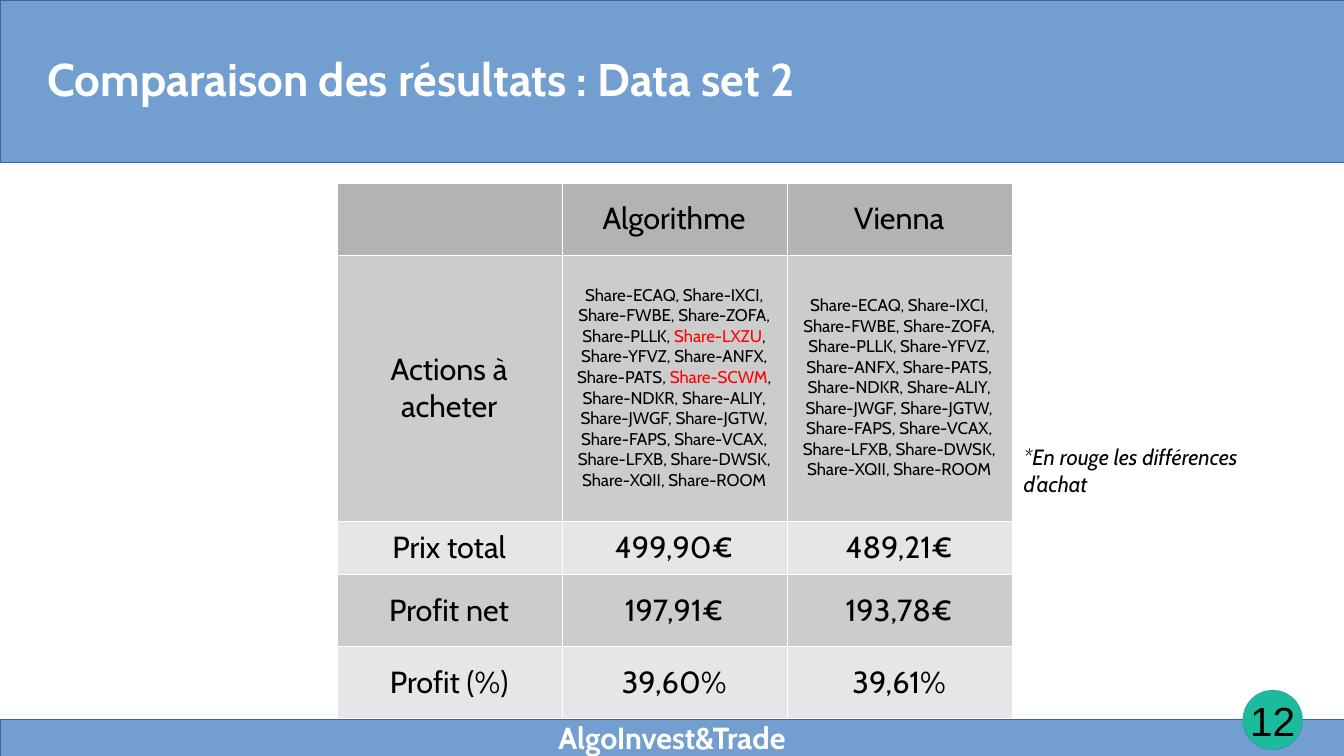
from itertools import groupby

from lxml.etree import SubElement
from pptx import Presentation
from pptx.dml.color import RGBColor
from pptx.enum.shapes import MSO_SHAPE
from pptx.enum.text import MSO_ANCHOR, MSO_AUTO_SIZE, PP_ALIGN
from pptx.oxml.ns import qn
from pptx.util import Inches, Pt

TITLE = "Comparaison des résultats : Data set 2"
FOOTER = "AlgoInvest&Trade"
PAGE_NUMBER = "12"
NOTE = "*En rouge les différences d’achat"
SHARES = ("ECAQ IXCI FWBE ZOFA PLLK LXZU YFVZ ANFX PATS SCWM NDKR ALIY "
          "JWGF JGTW FAPS VCAX LFXB DWSK XQII ROOM").split()
ALGORITHM_ONLY = {"LXZU", "SCWM"}
VIENNA_SHARES = [share for share in SHARES if share not in ALGORITHM_ONLY]
RESULTS = [
    ["", "Algorithme", "Vienna"],
    ["Actions à acheter", SHARES, VIENNA_SHARES],
    ["Prix total", "499,90€", "489,21€"],
    ["Profit net", "197,91€", "193,78€"],
    ["Profit (%)", "39,60%", "39,61%"],
]

BLUE = RGBColor(0x72, 0x9F, 0xCF)
DARK_BLUE = RGBColor(0x34, 0x65, 0xA4)
GREEN = RGBColor(0x1A, 0xBC, 0x9C)
WHITE = RGBColor(0xFF, 0xFF, 0xFF)
BLACK = RGBColor(0, 0, 0)
RED = RGBColor(0xFF, 0, 0)
HEADER_GREY = RGBColor(0xB3, 0xB3, 0xB3)
ROW_GREYS = [RGBColor(0xE6, 0xE6, 0xE6), RGBColor(0xCC, 0xCC, 0xCC)]

WIDTH, HEIGHT = 11.02, 6.2
HEADER_HEIGHT, FOOTER_HEIGHT = 1.33, 0.3
FOOTER_TOP = HEIGHT - FOOTER_HEIGHT
COLUMN_WIDTH = 1.845
ROW_HEIGHTS = [0.59, 2.18, 0.44, 0.59, 0.59]
TABLE_LEFT, TABLE_TOP = 2.76, 1.5
TABLE_WIDTH = 3 * COLUMN_WIDTH
BADGE_SIZE = 0.49
BADGE_CENTER = 10.435
TEXT_MARGINS = (0.1, 0.05)


def box(left, top, width, height):
    return [Inches(value) for value in (left, top, width, height)]


def add_run(paragraph, text, size, color=BLACK, name="Cabin", **style):
    run = paragraph.add_run()
    run.text = text
    for key, value in dict(name=name, size=Pt(size), **style).items():
        setattr(run.font, key, value)
    run.font.color.rgb = color


def format_frame(frame, margins, anchor):
    horizontal, vertical = map(Inches, margins)
    settings = dict(margin_left=horizontal, margin_right=horizontal,
                    margin_top=vertical, margin_bottom=vertical,
                    vertical_anchor=anchor, word_wrap=True,
                    auto_size=MSO_AUTO_SIZE.NONE)
    for key, value in settings.items():
        setattr(frame, key, value)


def add_label(slide, area, text, size, margins, anchor, align, **style):
    frame = slide.shapes.add_textbox(*box(*area)).text_frame
    format_frame(frame, margins, anchor)
    frame.paragraphs[0].alignment = align
    add_run(frame.paragraphs[0], text, size, **style)


def add_decor(slide, preset, area, fill):
    decor = slide.shapes.add_shape(preset, *box(*area))
    decor.shadow.inherit = False
    decor.fill.solid()
    decor.fill.fore_color.rgb = fill
    decor.line.color.rgb = DARK_BLUE
    decor.line.width = Pt(0.1)


def add_share_list(paragraph, shares):
    """Write the shares, with those only the algorithm buys in red."""
    groups = groupby(shares, key=lambda share: share in ALGORITHM_ONLY)
    for position, (differs, names) in enumerate(groups):
        if position:
            add_run(paragraph, ", ", 10)
        listing = ", ".join(f"Share-{name}" for name in names)
        add_run(paragraph, listing, 10, RED if differs else BLACK)


def add_borders(cell):
    properties = cell._tc.get_or_add_tcPr()
    for position, side in enumerate(("a:lnL", "a:lnR", "a:lnT", "a:lnB")):
        border = properties.makeelement(qn(side), {"w": str(Pt(0.06))})
        fill = SubElement(border, qn("a:solidFill"))
        SubElement(fill, qn("a:srgbClr"), val=str(WHITE))
        properties.insert(position, border)


def fill_cell(cell, content, grey):
    cell.fill.solid()
    cell.fill.fore_color.rgb = grey
    cell.vertical_anchor = MSO_ANCHOR.MIDDLE
    add_borders(cell)
    paragraph = cell.text_frame.paragraphs[0]
    paragraph.alignment = PP_ALIGN.CENTER
    if isinstance(content, list):
        add_share_list(paragraph, content)
    elif content:
        add_run(paragraph, content, 18)


def add_results(slide):
    area = box(TABLE_LEFT, TABLE_TOP, TABLE_WIDTH, sum(ROW_HEIGHTS))
    table = slide.shapes.add_table(len(RESULTS), 3, *area).table
    for column in table.columns:
        column.width = Inches(COLUMN_WIDTH)
    for index, contents in enumerate(RESULTS):
        table.rows[index].height = Inches(ROW_HEIGHTS[index])
        grey = ROW_GREYS[index % 2] if index else HEADER_GREY
        for column, content in enumerate(contents):
            fill_cell(table.cell(index, column), content, grey)


def place_title(slide):
    title = slide.shapes.title
    title.left, title.top, title.width, title.height = box(0.39, 0.25, 10.24, 0.79)
    format_frame(title.text_frame, (0, 0), MSO_ANCHOR.MIDDLE)
    paragraph = title.text_frame.paragraphs[0]
    paragraph.alignment = PP_ALIGN.LEFT
    add_run(paragraph, TITLE, 27, WHITE, bold=True)
    slide.shapes.element.append(title.element)  # in front of the header band


def main():
    deck = Presentation()
    deck.slide_width, deck.slide_height = Inches(WIDTH), Inches(HEIGHT)
    slide = deck.slides.add_slide(deck.slide_layouts[5])

    footer_band = (0, FOOTER_TOP, WIDTH, FOOTER_HEIGHT)
    add_decor(slide, MSO_SHAPE.RECTANGLE, footer_band, BLUE)
    add_decor(slide, MSO_SHAPE.RECTANGLE, (0, 0, WIDTH, HEADER_HEIGHT), BLUE)
    badge = (BADGE_CENTER - BADGE_SIZE / 2, 5.66, BADGE_SIZE, BADGE_SIZE)
    add_decor(slide, MSO_SHAPE.OVAL, badge, GREEN)
    add_label(slide, (BADGE_CENTER - 0.395, 5.61, 0.79, 0.59), PAGE_NUMBER, 24,
              TEXT_MARGINS, MSO_ANCHOR.MIDDLE, PP_ALIGN.CENTER, name="Arial")

    place_title(slide)
    add_results(slide)
    add_label(slide, (TABLE_LEFT + TABLE_WIDTH, 3.59, 2.36, 0.59), NOTE, 13,
              TEXT_MARGINS, MSO_ANCHOR.TOP, PP_ALIGN.LEFT, italic=True)
    add_label(slide, (3.74, FOOTER_TOP, 3.54, FOOTER_HEIGHT), FOOTER, 18,
              (0, 0), MSO_ANCHOR.TOP, PP_ALIGN.CENTER, color=WHITE, bold=True)
    deck.save("out.pptx")


if __name__ == "__main__":
    main()
